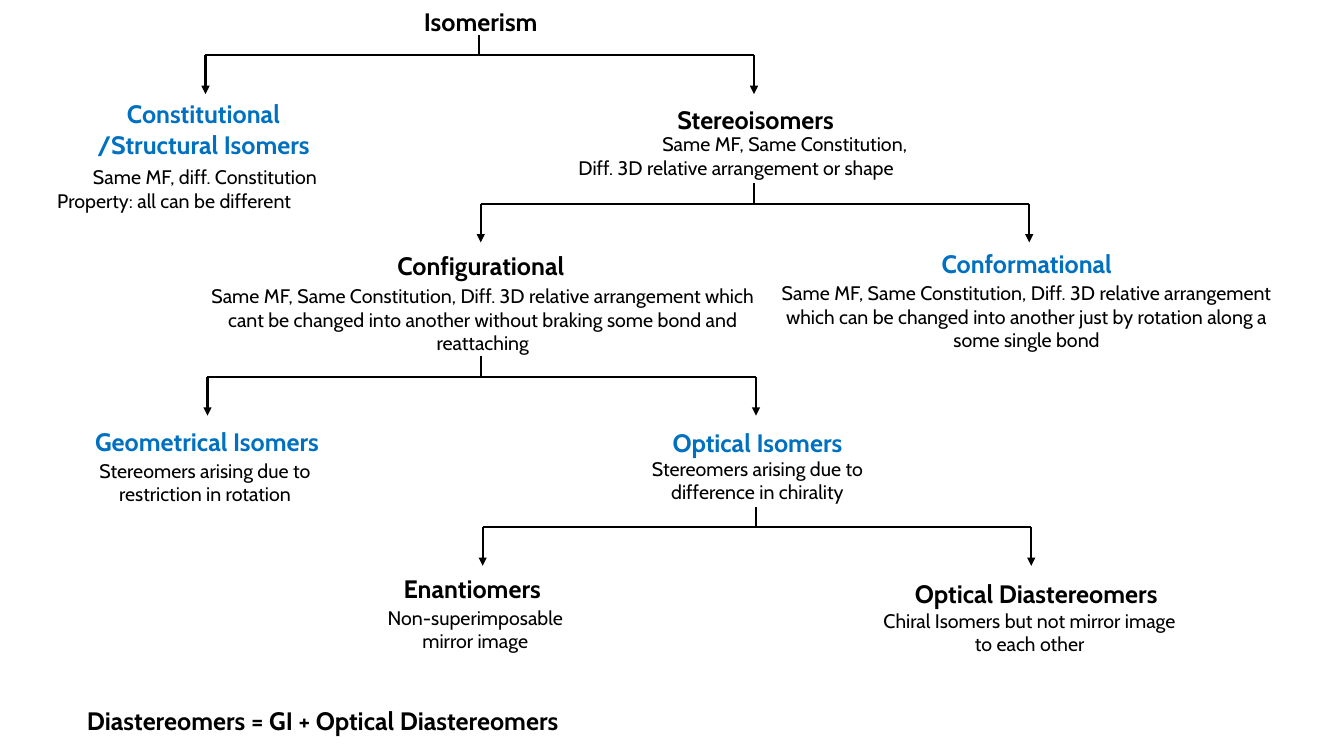
import pptx
import pptx.util
import pptx.dml.color
import pptx.enum.shapes
import pptx.enum.text
import pptx.oxml
import pptx.oxml.ns

Pt = pptx.util.Pt
ALIGN = pptx.enum.text.PP_ALIGN
COLORS = {"black": "000000", "blue": "0070C0"}
FONT = "Cabin"


def write_label(label, box, text, size, color, bold):
    label.left, label.top, label.width, label.height = [Pt(v) for v in box]
    frame = label.text_frame
    frame.word_wrap = True
    frame.auto_size = pptx.enum.text.MSO_AUTO_SIZE.NONE
    frame.vertical_anchor = pptx.enum.text.MSO_ANCHOR.TOP
    frame.text = text
    for index, paragraph in enumerate(frame.paragraphs):
        paragraph.alignment = ALIGN.LEFT if index else ALIGN.CENTER
        for run in paragraph.runs:
            run.font.name = FONT
            run.font.size = Pt(size)
            run.font.bold = bold
            run.font.color.rgb = pptx.dml.color.RGBColor.from_string(COLORS[color])


def draw_line(start, end, arrow):
    line = slide.shapes.add_connector(
        pptx.enum.shapes.MSO_CONNECTOR.STRAIGHT, *[Pt(v) for v in start + end])
    line.line.width = Pt(1.5)
    line.line.color.rgb = pptx.dml.color.RGBColor.from_string(COLORS["black"])
    if arrow:
        tail = pptx.oxml.parse_xml(
            f'<a:tailEnd {pptx.oxml.ns.nsdecls("a")} type="triangle"/>')
        line.line._get_or_add_ln().append(tail)
    line._element.spPr.append(
        pptx.oxml.parse_xml(f'<a:effectLst {pptx.oxml.ns.nsdecls("a")}/>'))


deck = pptx.Presentation()
deck.slide_width, deck.slide_height = Pt(960), Pt(540)
slide = deck.slides.add_slide(deck.slide_layouts[5])

write_label(slide.shapes.title, (242.6, 0.7, 201.6, 29), "Isomerism", 18, "black", True)

STEM, DROP, LEFT_REACH, RIGHT_REACH = 14.8, 27.6, 195.2, 196.6
branches = [(342, 39.6), (538.6, 145.6), (343.4, 269.3), (540, 376.6)]
for trunk, bar in branches:
    left, right = trunk - LEFT_REACH, trunk + RIGHT_REACH
    draw_line((left, bar), (right, bar), False)
    draw_line((trunk, bar), (trunk, bar - STEM), False)
    for child in (left, right):
        draw_line((child, bar), (child, bar + DROP), True)

headings = [
    ((44.6, 67, 201.6, 51), "Constitutional\v/Structural Isomers", "blue"),
    ((468, 70.6, 143.3, 29), "Stereoisomers", "black"),
    ((260, 175, 167, 29), "Configurational", "black"),
    ((656, 173.5, 154.8, 29), "Conformational", "blue"),
    ((46, 301, 203.8, 29), "Geometrical Isomers", "blue"),
    ((461.5, 301.7, 159.1, 29), "Optical Isomers", "blue"),
    ((270, 406.1, 134.6, 29), "Enantiomers", "black"),
    ((632.2, 409.7, 216, 29), "Optical Diastereomers", "black"),
    ((4.3, 500.4, 456.5, 29), "Diastereomers = GI + Optical Diastereomers ", "black"),
]
descriptions = [
    ((33.8, 114.5, 225.4, 41),
     "Same MF, diff. Constitution\nProperty: all can be different"),
    ((406.1, 90.7, 308.9, 41),
     "Same MF, Same Constitution,\nDiff. 3D relative arrangement or shape"),
    ((132.5, 199.4, 424.8, 58),
     "Same MF, Same Constitution, Diff. 3D relative arrangement which cant be "
     "changed into another without braking some bond and reattaching"),
    ((547.9, 197.3, 370.8, 58),
     "Same MF, Same Constitution, Diff. 3D relative arrangement which can be "
     "changed into another just by rotation along a some single bond"),
    ((33.8, 324, 225.4, 41), "Stereomers arising due to restriction in rotation"),
    ((428.4, 322.6, 225.4, 41), "Stereomers arising due to difference in chirality"),
    ((260, 429.1, 159.1, 41), "Non-superimposable mirror image"),
    ((622.8, 431.3, 225.4, 41), "Chiral Isomers but not mirror image to each other"),
]
for box, text, color in headings:
    write_label(slide.shapes.add_textbox(0, 0, 0, 0), box, text, 18, color, True)
for box, text in descriptions:
    write_label(slide.shapes.add_textbox(0, 0, 0, 0), box, text, 14, "black", False)

deck.save("out.pptx")
